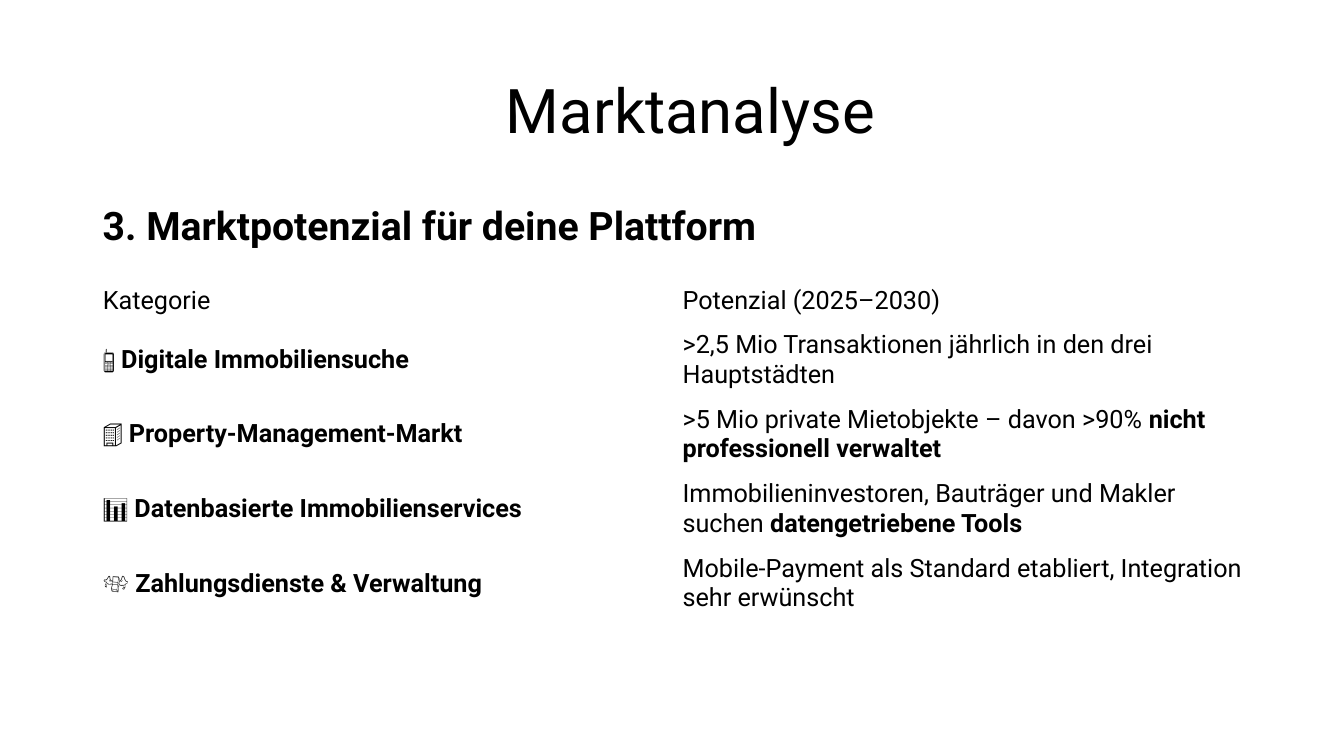
from pptx import Presentation
from pptx.dml.color import RGBColor as RGB
from pptx.enum.text import MSO_ANCHOR as Anchor
from pptx.util import Inches, Pt

FONT = "Roboto"
COLORS = {"text": "000000"}
TITLE = "Marktanalyse"
HEADING = "3. Marktpotenzial für deine Plattform"
# Each cell is a list of (text, bold) pieces.
ROWS = [
    ([("Kategorie", False)],
     [("Potenzial (2025–2030)", False)]),
    ([("📱 ", False), ("Digitale Immobiliensuche", True)],
     [(">2,5 Mio Transaktionen jährlich in den drei Hauptstädten", False)]),
    ([("🏢 ", False), ("Property-Management-Markt", True)],
     [(">5 Mio private Mietobjekte – davon >90% ", False),
      ("nicht professionell verwaltet", True)]),
    ([("📊 ", False), ("Datenbasierte Immobilienservices", True)],
     [("Immobilieninvestoren, Bauträger und Makler suchen ", False),
      ("datengetriebene Tools", True)]),
    ([("💸 ", False), ("Zahlungsdienste & Verwaltung", True)],
     [("Mobile-Payment als Standard etabliert, Integration sehr erwünscht", False)]),
]
LEFT, WIDTH = 0.92, 11.5
TABLE_TOP, HEAD_H, ROW_H = 2.78, 0.42, 0.74
TITLE_INDENT = 4


def style(run, size, bold=False):
    font = run.font
    font.name, font.size, font.bold = FONT, Pt(size), bold
    font.color.rgb = RGB.from_string(COLORS["text"])


def add_text(slide, text, top, height, size, bold=False, anchor=Anchor.TOP):
    box = slide.shapes.add_textbox(
        Inches(LEFT), Inches(top), Inches(WIDTH), Inches(height))
    frame = box.text_frame
    frame.word_wrap = True
    frame.vertical_anchor = anchor
    frame.text = text
    para = frame.paragraphs[0]
    para.line_spacing = 0.9
    style(para.runs[0], size, bold)
    return para


def add_market(slide):
    count = len(ROWS)
    height = HEAD_H + ROW_H * (count - 1)
    table = slide.shapes.add_table(
        count, 2, Inches(LEFT), Inches(TABLE_TOP),
        Inches(WIDTH), Inches(height)).table
    table.first_row = table.horz_banding = False
    for r, row in enumerate(ROWS):
        table.rows[r].height = Inches(ROW_H if r else HEAD_H)
        for c, pieces in enumerate(row):
            cell = table.cell(r, c)
            cell.fill.background()
            cell.vertical_anchor = Anchor.MIDDLE
            para = cell.text_frame.paragraphs[0]
            for text, bold in pieces:
                run = para.add_run()
                run.text = text
                style(run, 18, bold)


def main():
    deck = Presentation()
    deck.slide_width, deck.slide_height = Inches(13.33), Inches(7.5)
    slide = deck.slides.add_slide(deck.slide_layouts[6])
    title = add_text(slide, TITLE, 0.4, 1.45, 44, anchor=Anchor.MIDDLE)
    title._p.get_or_add_pPr().set("marL", str(Inches(TITLE_INDENT)))
    add_text(slide, HEADING, 2, 4.76, 28, bold=True)
    add_market(slide)
    deck.save("out.pptx")


if __name__ == "__main__":
    main()
